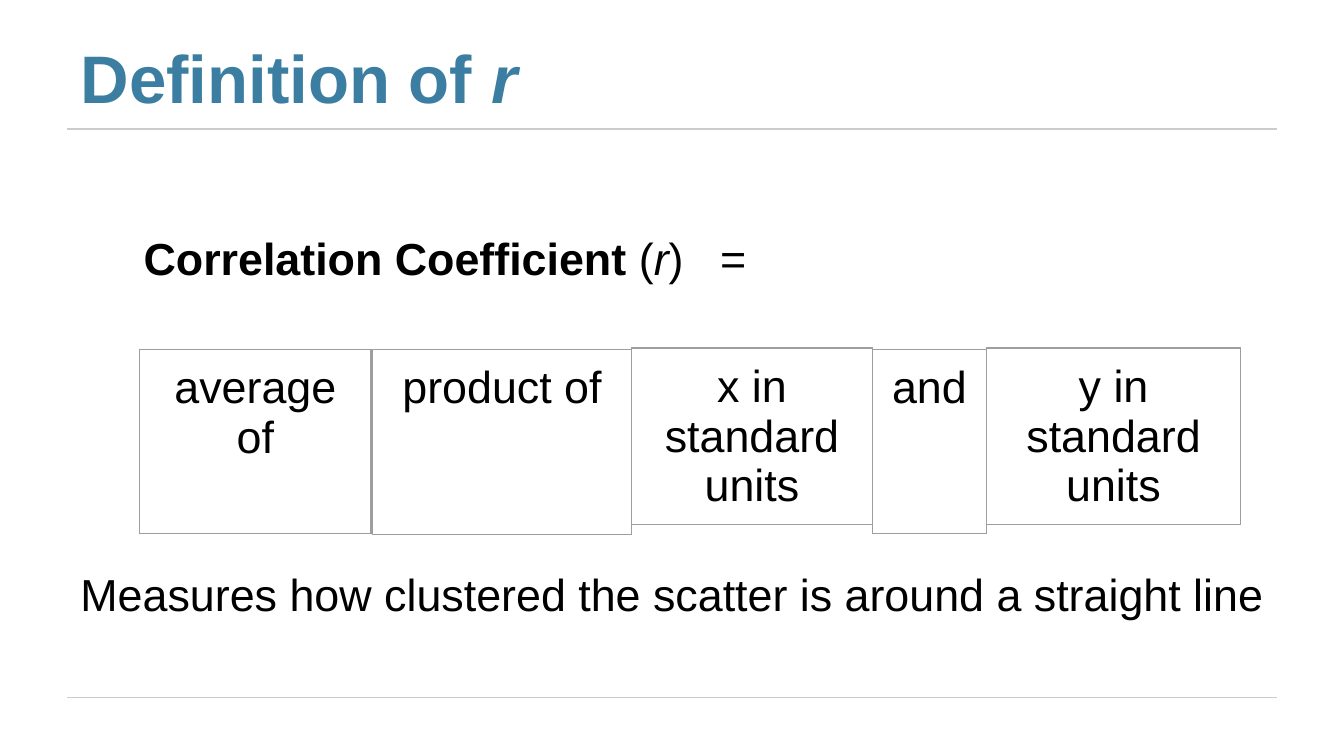
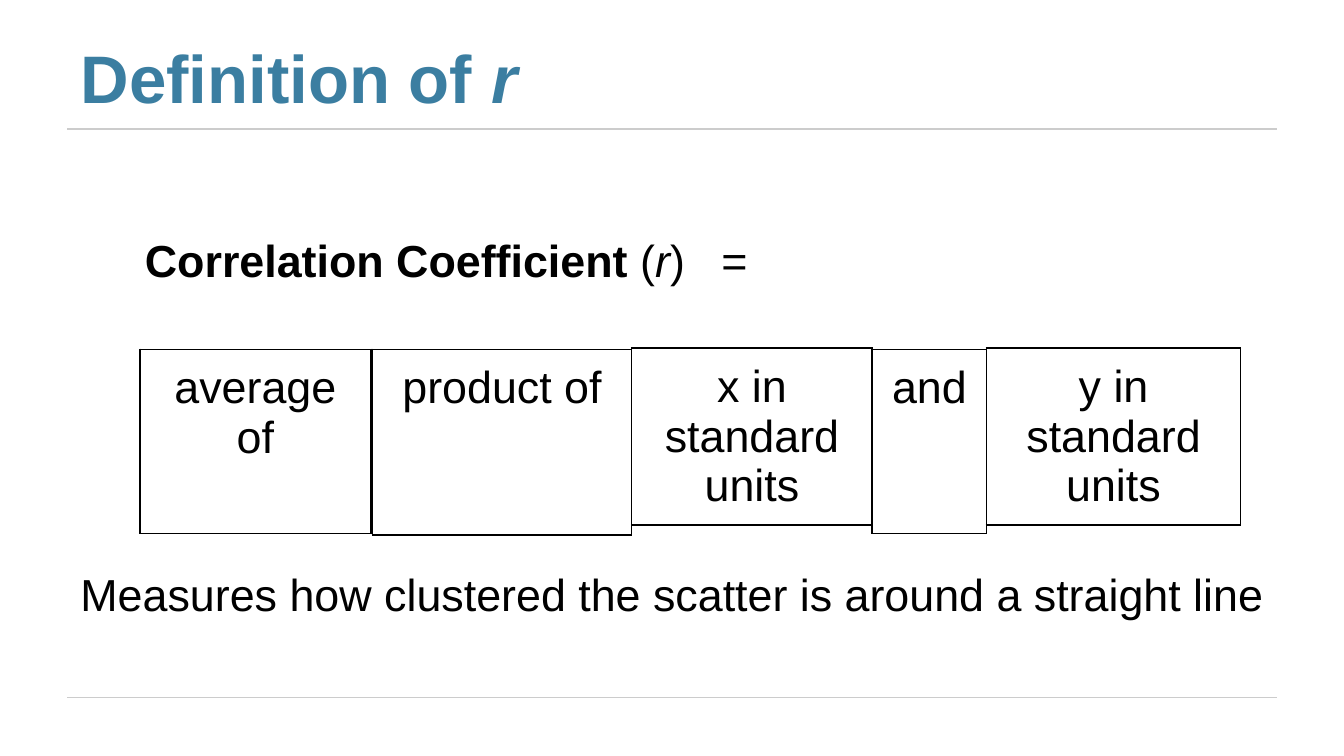
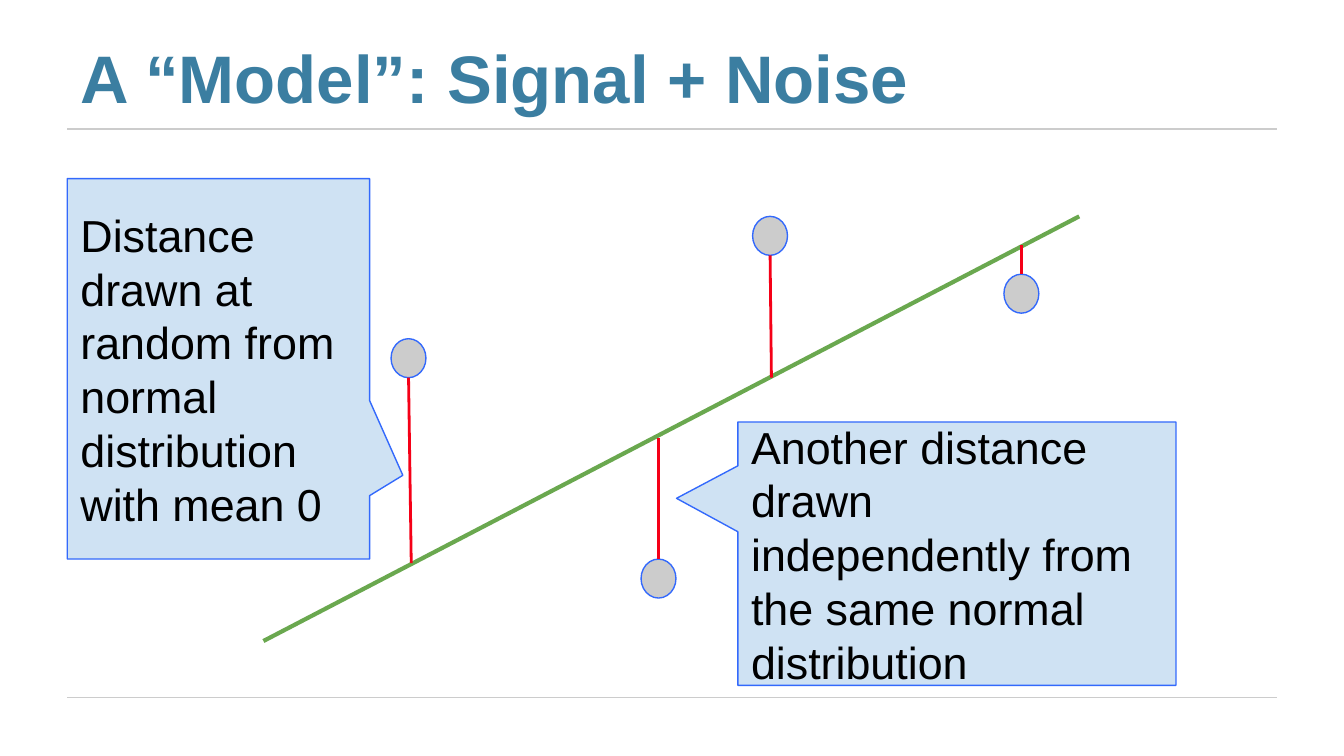
"""Build three slides on correlation and the signal plus noise model."""
from lxml.etree import SubElement
from pptx import Presentation
from pptx.dml.color import RGBColor
from pptx.enum.shapes import MSO_CONNECTOR, MSO_SHAPE
from pptx.enum.text import MSO_ANCHOR, MSO_AUTO_SIZE, PP_ALIGN
from pptx.oxml import parse_xml
from pptx.oxml.ns import nsdecls, qn
from pptx.util import Inches, Pt

HUES = {
    "title": "3B7EA1", "text": "000000", "rule": "CCCCCC", "grid": "9E9E9E",
    "trend": "6AA84F", "noise": "F50017", "dot": "CCCCCC", "edge": "3369FC",
    "note": "CFE2F3",
}
FONT = "Arial"


def write(host, runs, size=24, hue="text", align=PP_ALIGN.LEFT):
    """Fill a shape or cell with (text, bold, italic) runs."""
    text = host.text_frame
    spot = host if hasattr(host, "margin_left") else text
    for side in ("left", "top", "right", "bottom"):
        setattr(spot, f"margin_{side}", Inches(0.1))
    text.word_wrap = True
    para = text.paragraphs[0]
    para.alignment = align
    para.line_spacing = 1.0
    for words, bold, slant in runs:
        run = para.add_run()
        run.text = words
        font = run.font
        font.name, font.size = FONT, Pt(size)
        font.bold, font.italic = bold, slant
        font.color.rgb = RGBColor.from_string(HUES[hue])


def wire(slide, ends, hue, width):
    """Draw a straight line without a shadow."""
    line = slide.shapes.add_connector(MSO_CONNECTOR.STRAIGHT, *map(Inches, ends))
    line.line.color.rgb = RGBColor.from_string(HUES[hue])
    line.line.width = Pt(width)
    SubElement(line.element.find(qn("p:spPr")), qn("a:effectLst"))
    return line


deck = Presentation()
deck.slide_width, deck.slide_height = Inches(10), Inches(10) * 9 // 16
layout = deck.slide_layouts[5]

name = [("Definition of ", True, False), ("r", True, True)]
heads = [(name, 7.33), (name, 7.33), ([("A “Model”: Signal + Noise", True, False)], 8.94)]
slides = []
for runs, width in heads:
    slide = deck.slides.add_slide(layout)
    title = slide.shapes.title
    title.left, title.top = Inches(0.5), Inches(0.23)
    title.width, title.height = Inches(width), Inches(0.74)
    write(title, runs, 36, "title")
    title.text_frame.vertical_anchor = MSO_ANCHOR.BOTTOM
    title.text_frame.auto_size = MSO_AUTO_SIZE.NONE
    slides.append(slide)

for y in (0.96, 5.19):
    layout.shapes.element.append(wire(slides[0], (0.5, y, 9.5, y), "rule", 0.75).element)

terms = [
    ("average of", 1.04, 2.6, 1.72, 1.37, 1.37),
    ("product of", 2.77, 2.6, 1.93, 1.38, 1.38),
    ("x in standard units", 4.7, 2.59, 1.79, 0.91, 1.4),
    ("and", 6.49, 2.6, 0.85, 1.37, 1.37),
    ("y in standard units", 7.34, 2.59, 1.89, 1.02, 1.4),
]
label = [("Correlation Coefficient", True, False), (" (", False, False),
         ("r", False, True), (")\t=", False, False)]
claim = [("Measures how clustered the scatter is around a straight line", False, False)]

for slide, hue, weight, left, top in ((slides[0], "grid", 0.75, 0.97, 1.62),
                                      (slides[1], "text", 1, 0.98, 1.63)):
    for words, x, y, width, row, tall in terms:
        frame = slide.shapes.add_table(
            1, 1, Inches(x), Inches(y), Inches(width), Inches(row))
        frame.height = Inches(tall)
        frame.table.first_row = frame.table.horz_banding = False
        cell = frame.table.cell(0, 0)
        cell.fill.background()
        write(cell, [(words, False, False)], align=PP_ALIGN.CENTER)
        props = frame.element.find(".//" + qn("a:tcPr"))
        for spot, side in enumerate("LRTB"):
            props.insert(spot, parse_xml(
                f'<a:ln{side} {nsdecls("a")} w="{Pt(weight)}"><a:solidFill>'
                f'<a:srgbClr val="{HUES[hue]}"/></a:solidFill></a:ln{side}>'))

    box = slide.shapes.add_textbox(Inches(left), Inches(top), Inches(5.13), Inches(0.74))
    write(box, label)
    tabs = SubElement(box.element.find(".//" + qn("a:pPr")), qn("a:tabLst"))
    SubElement(tabs, qn("a:tab"), pos=str(Inches(4.29)), algn="l")
    box = slide.shapes.add_textbox(Inches(0.5), Inches(4.12), Inches(9.1), Inches(0.97))
    write(box, claim)

model = slides[2]
wire(model, (1.96, 4.77, 8.03, 1.61), "trend", 2.25)

marks = [(MSO_SHAPE.OVAL, (x, y, 0.26, 0.29), "dot", (), "")
         for x, y in ((2.91, 2.52), (7.47, 2.04), (4.77, 4.16), (5.6, 1.61))]
notes = [
    (MSO_SHAPE.ROUNDED_RECTANGULAR_CALLOUT, (0.5, 1.33, 2.25, 2.83), "note",
     (0.61, 0.28, 0),
     "Distance drawn at random from normal distribution with mean 0"),
    (MSO_SHAPE.ROUNDED_RECTANGULAR_CALLOUT, (5.49, 3.14, 3.26, 1.96), "note",
     (-0.64, -0.21, 0),
     "Another distance drawn independently from the same normal distribution"),
]
for kind, place, hue, bends, words in marks + notes:
    shape = model.shapes.add_shape(kind, *map(Inches, place))
    shape.shadow.inherit = False
    shape.fill.solid()
    shape.fill.fore_color.rgb = RGBColor.from_string(HUES[hue])
    shape.line.color.rgb = RGBColor.from_string(HUES["edge"])
    shape.line.width = Pt(0.75)
    for spot, bend in enumerate(bends):
        shape.adjustments[spot] = bend
    if words:
        write(shape, [(words, False, False)])
        shape.text_frame.vertical_anchor = MSO_ANCHOR.MIDDLE

for ends in ((3.04, 2.81, 3.06, 4.19), (4.9, 4.16, 4.9, 3.26),
             (5.73, 1.9, 5.74, 2.81), (7.6, 2.04, 7.6, 1.82)):
    wire(model, ends, "noise", 1.5)

deck.save("out.pptx")
